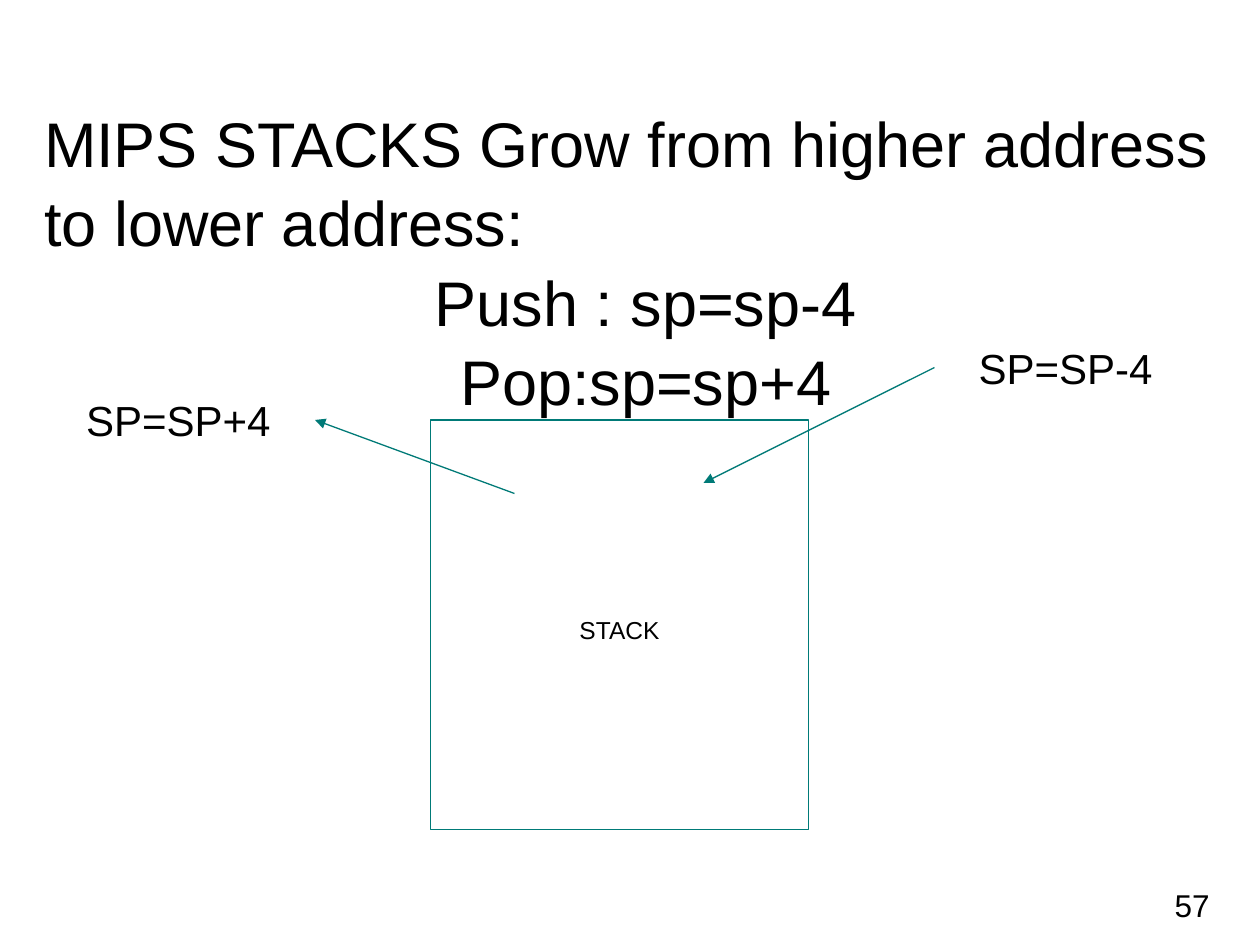
from pptx import Presentation
from pptx.dml.color import RGBColor
from pptx.enum.shapes import MSO_CONNECTOR, MSO_SHAPE
from pptx.enum.text import MSO_ANCHOR as Anchor, MSO_AUTO_SIZE as AutoSize, PP_ALIGN as Align
from pptx.oxml.ns import qn
from pptx.util import Inches, Pt
from lxml.etree import SubElement

COLORS = {"text": "000000", "line": "007A77", "background": "FFFFFF"}

presentation = Presentation()
presentation.slide_width, presentation.slide_height = Inches(10), Inches(7.5)
# Grid of 120 columns and 90 rows
COLUMN = presentation.slide_width / 120
ROW = presentation.slide_height / 90


def grid(left, top, width, height):
    return int(left * COLUMN), int(top * ROW), int(width * COLUMN), int(height * ROW)


def write(shape, lines, size, line_spacing=1.0):
    frame = shape.text_frame
    frame.text = "\n".join(text for text, _ in lines)
    frame_format = {"word_wrap": True, "auto_size": AutoSize.NONE,
                    "vertical_anchor": Anchor.TOP}
    for name, value in frame_format.items():
        setattr(frame, name, value)
    for paragraph, (_, alignment) in zip(frame.paragraphs, lines):
        paragraph_format = {"alignment": alignment, "line_spacing": line_spacing,
                            "space_before": Pt(0)}
        for name, value in paragraph_format.items():
            setattr(paragraph, name, value)
        paragraph.font.name = "Arial"
        paragraph.font.size = Pt(size)
        paragraph.font.color.rgb = RGBColor.from_string(COLORS["text"])


slide = presentation.slides.add_slide(presentation.slide_layouts[5])
slide.background.fill.solid()
slide.background.fill.fore_color.rgb = RGBColor.from_string(COLORS["background"])

# Title with the two stack operations
title = slide.shapes.title
title.left, title.top, title.width, title.height = grid(3, 9, 117, 30)
write(title, [
    ("MIPS STACKS Grow from higher address to lower address:", Align.LEFT),
    ("Push : sp=sp-4", Align.CENTER),
    ("Pop:sp=sp+4", Align.CENTER),
], 36, 1.05)

# Stack box
stack = slide.shapes.add_shape(MSO_SHAPE.RECTANGLE, *grid(41, 40, 36, 39))
stack.shadow.inherit = False
stack.fill.background()
stack.line.color.rgb = RGBColor.from_string(COLORS["line"])
stack.line.width = Pt(0.75)

# Push and pop arrows: from column and row, to column and row
for start_column, start_row, end_column, end_row in [(89, 35, 67, 46), (49, 47, 30, 40)]:
    arrow = slide.shapes.add_connector(
        MSO_CONNECTOR.STRAIGHT, int(start_column * COLUMN), int(start_row * ROW),
        int(end_column * COLUMN), int(end_row * ROW))
    arrow.line.color.rgb = RGBColor.from_string(COLORS["line"])
    arrow.line.width = Pt(0.75)
    SubElement(arrow.line._get_or_add_ln(), qn("a:tailEnd"), type="triangle")
    SubElement(arrow._element.spPr, qn("a:effectLst"))

# Labels and slide number
labels = [
    ("SP=SP-4", (90, 32, 23, 6), 24, Align.CENTER),
    ("SP=SP+4", (5, 37, 24, 13), 24, Align.CENTER),
    ("STACK", (48, 58, 22, 7), 14, Align.CENTER),
    ("57", (86.4, 83.8, 30, 6.2), 18, Align.RIGHT),
]
for text, place, size, alignment in labels:
    write(slide.shapes.add_textbox(*grid(*place)), [(text, alignment)], size)

presentation.save("out.pptx")
